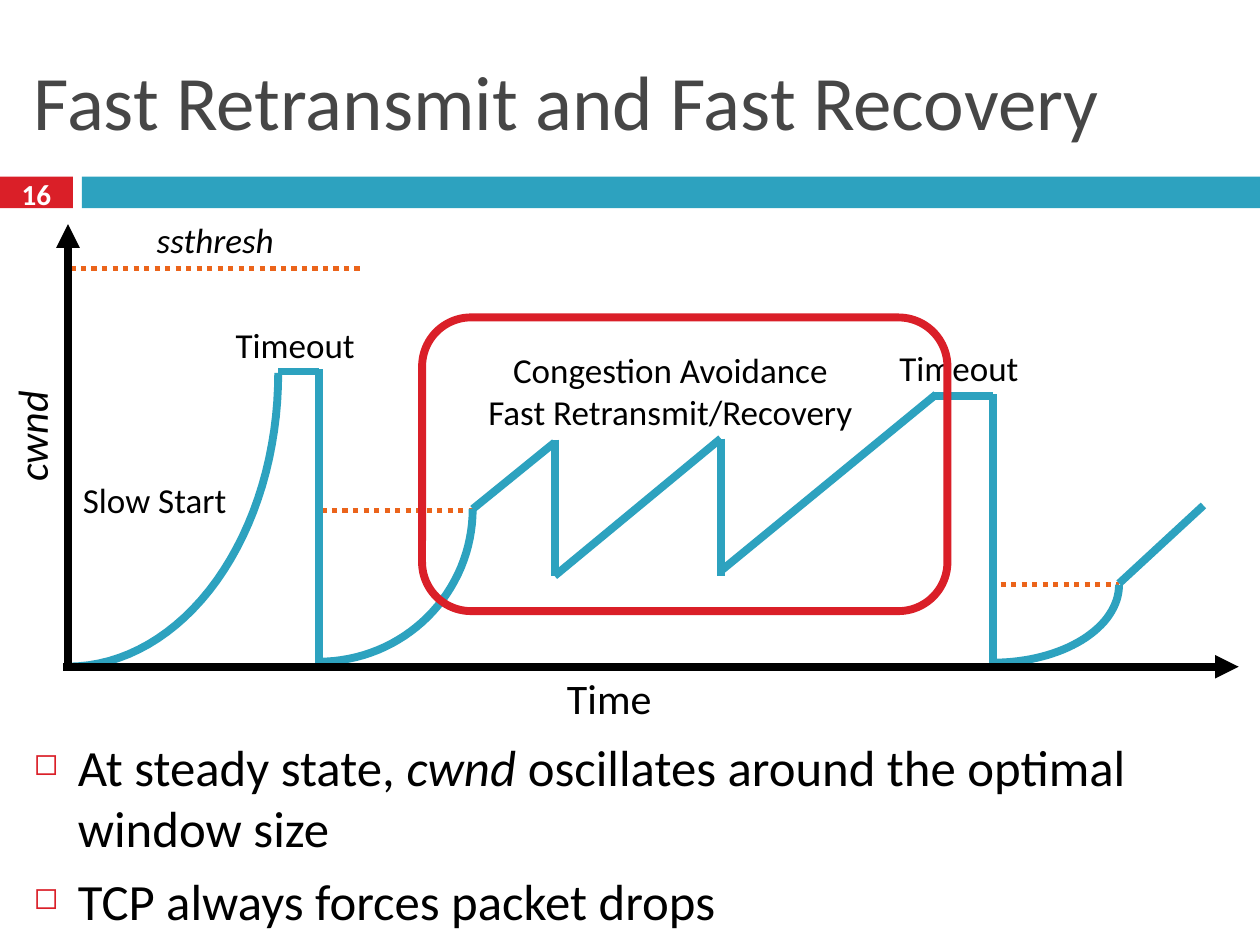
"""Build the slide on TCP fast retransmit and fast recovery."""
from math import cos, pi, sin

from lxml import etree
from pptx import Presentation
from pptx.dml.color import RGBColor
from pptx.enum.dml import MSO_LINE
from pptx.enum.shapes import MSO_CONNECTOR, MSO_SHAPE
from pptx.enum.text import MSO_ANCHOR, PP_ALIGN
from pptx.oxml.ns import qn
from pptx.util import Cm, Pt

STRAIGHT = MSO_CONNECTOR.STRAIGHT
DOTTED = MSO_LINE.ROUND_DOT
RECTANGLE, ROUNDED = MSO_SHAPE.RECTANGLE, MSO_SHAPE.ROUNDED_RECTANGLE
TOP, MIDDLE = MSO_ANCHOR.TOP, MSO_ANCHOR.MIDDLE
LEFT, CENTER = PP_ALIGN.LEFT, PP_ALIGN.CENTER

RED, TEAL, ORANGE = "DA1F28", "2DA2BF", "EB641B"
BLACK, WHITE, GRAY = "000000", "FFFFFF", "464646"
THICK, THIN = 4.5, 3
CURVE_STEPS = 32

BANDS = [((0, 3.56, 1.47, 0.64), RED), ((1.65, 3.56, 23.75, 0.64), TEAL)]
THRESHOLDS = [
    (20.17, 11.79, 22.56, 11.79),
    (1.42, 5.41, 7.34, 5.41),
    (6.48, 10.29, 9.55, 10.29),
]
SLOW_STARTS = [
    (1.37, 7.52, 4.24, 5.92),
    (6.43, 10.26, 3.1, 3.08),
    (20.02, 11.79, 2.54, 1.57),
]
WINDOW_LINES = [
    (5.61, 7.49, 6.43, 7.49),
    (6.43, 7.44, 6.43, 13.36),
    (9.53, 10.26, 11.18, 8.92),
    (18.82, 7.98, 20.02, 7.98),
    (11.18, 8.86, 11.18, 11.61),
    (22.56, 11.76, 24.26, 10.19),
    (20.02, 7.95, 20.02, 13.44),
    (11.18, 11.61, 14.53, 8.84),
    (14.53, 8.84, 14.53, 11.61),
    (14.53, 11.51, 18.87, 7.95),
]
AXES = [(1.37, 13.44, 1.37, 4.52), (1.27, 13.44, 24.97, 13.44)]
STEADY_STATE = (8.51, 6.4, 10.59, 5.92)

TITLE = "Fast Retransmit and Fast Recovery"
NUMBER = "16"
BULLETS = [
    [("At steady state, ", False), ("cwnd", True),
     (" oscillates around the optimal window size", False)],
    [("TCP always forces packet drops", False)],
]
LABELS = [
    (["Time"], (11.18, 13.44, 2.39, 1.3), {"size": 24}),
    (["cwnd"], (-0.61, 8.05, 2.51, 1.3), {"size": 24, "italic": True, "rotation": 270}),
    (["Timeout"], (4.5, 6.4, 3.07, 1.12), {}),
    (["Slow Start"], (1.42, 9.53, 3.76, 1.12), {}),
    (["Congestion Avoidance", "Fast Retransmit/Recovery"], (8.74, 6.91, 9.55, 1.96),
     {"align": CENTER, "wrap": True}),
    (["ssthresh"], (2.74, 4.29, 3.2, 1.12), {"italic": True, "align": CENTER}),
    (["Timeout"], (17.88, 6.86, 3.07, 1.12), {}),
]


def color(value):
    return RGBColor.from_string(value)


def lengths(values):
    return [Cm(value) for value in values]


def style_line(line, line_color, width):
    line.color.rgb = color(line_color)
    line.width = Pt(width)


def add_line(slide, ends, line_color, width, dash=None, arrow=False):
    connector = slide.shapes.add_connector(STRAIGHT, *lengths(ends))
    style_line(connector.line, line_color, width)
    if dash:
        connector.line.dash_style = dash
    if arrow:
        outline = connector.line._get_or_add_ln()
        etree.SubElement(outline, qn("a:tailEnd"), type="triangle")
    etree.SubElement(connector._element.spPr, qn("a:effectLst"))


def add_slow_start(slide, box):
    left, top, width, height = box
    angles = [step * pi / 2 / CURVE_STEPS for step in range(CURVE_STEPS + 1)]
    points = [lengths((left + width * cos(angle), top + height * sin(angle)))
              for angle in angles]
    builder = slide.shapes.build_freeform(*points[0])
    builder.add_line_segments(points[1:], close=False)
    shape = builder.convert_to_shape()
    shape.shadow.inherit = False
    shape.fill.background()
    style_line(shape.line, TEAL, THICK)


def add_bullet(paragraph):
    properties = paragraph._p.get_or_add_pPr()
    properties.set("marL", str(Cm(0.89)))
    properties.set("indent", str(-Cm(0.89)))
    bullet_color = etree.SubElement(properties, qn("a:buClr"))
    etree.SubElement(bullet_color, qn("a:srgbClr"), val=RED)
    etree.SubElement(properties, qn("a:buSzPct"), val="60000")
    etree.SubElement(properties, qn("a:buChar"), char="◻")


def add_text(slide, paragraphs, box, size=20, text_color=BLACK, bold=False, italic=False,
             align=LEFT, anchor=TOP, wrap=False, rotation=0, margin=None, bullets=False):
    shape = slide.shapes.add_textbox(*lengths(box))
    shape.rotation = rotation
    frame = shape.text_frame
    frame_format = {"word_wrap": wrap, "vertical_anchor": anchor}
    if margin is not None:
        frame_format.update(margin_left=margin, margin_right=margin)
    for name, value in frame_format.items():
        setattr(frame, name, value)
    for index, runs in enumerate(paragraphs):
        paragraph = frame.add_paragraph() if index else frame.paragraphs[0]
        paragraph.alignment = align
        if bullets:
            paragraph.space_before = Pt(7 if index else 0)
            add_bullet(paragraph)
        for text, slanted in [(runs, italic)] if isinstance(runs, str) else runs:
            run = paragraph.add_run()
            run.text = text
            run_format = {"name": "Calibri", "size": Pt(size), "bold": bold, "italic": slanted}
            for name, value in run_format.items():
                setattr(run.font, name, value)
            run.font.color.rgb = color(text_color)


def main():
    presentation = Presentation()
    presentation.slide_width, presentation.slide_height = Cm(25.4), Cm(19.05)
    slide = presentation.slides.add_slide(presentation.slide_layouts[6])

    for box, fill in BANDS:
        band = slide.shapes.add_shape(RECTANGLE, *lengths(box))
        band.shadow.inherit = False
        band.fill.solid()
        band.fill.fore_color.rgb = color(fill)
        band.line.fill.background()

    add_text(slide, [TITLE], (0.43, 0.64, 24.56, 2.74), size=44, text_color=GRAY,
             anchor=MIDDLE, wrap=True)
    add_text(slide, BULLETS, (0.43, 14.71, 24.56, 4.34), size=29, wrap=True, bullets=True)
    add_text(slide, [NUMBER], (0, 3.48, 1.47, 0.84), size=16.6, text_color=WHITE, bold=True,
             align=CENTER, anchor=MIDDLE, wrap=True, margin=0)

    for ends in THRESHOLDS:
        add_line(slide, ends, ORANGE, THIN, dash=DOTTED)
    for box in SLOW_STARTS:
        add_slow_start(slide, box)
    for ends in WINDOW_LINES:
        add_line(slide, ends, TEAL, THICK)
    for ends in AXES:
        add_line(slide, ends, BLACK, THICK, arrow=True)
    for paragraphs, box, options in LABELS:
        add_text(slide, paragraphs, box, **options)

    frame = slide.shapes.add_shape(ROUNDED, *lengths(STEADY_STATE))
    frame.shadow.inherit = False
    frame.fill.background()
    style_line(frame.line, RED, THICK)
    presentation.save("out.pptx")


if __name__ == "__main__":
    main()
